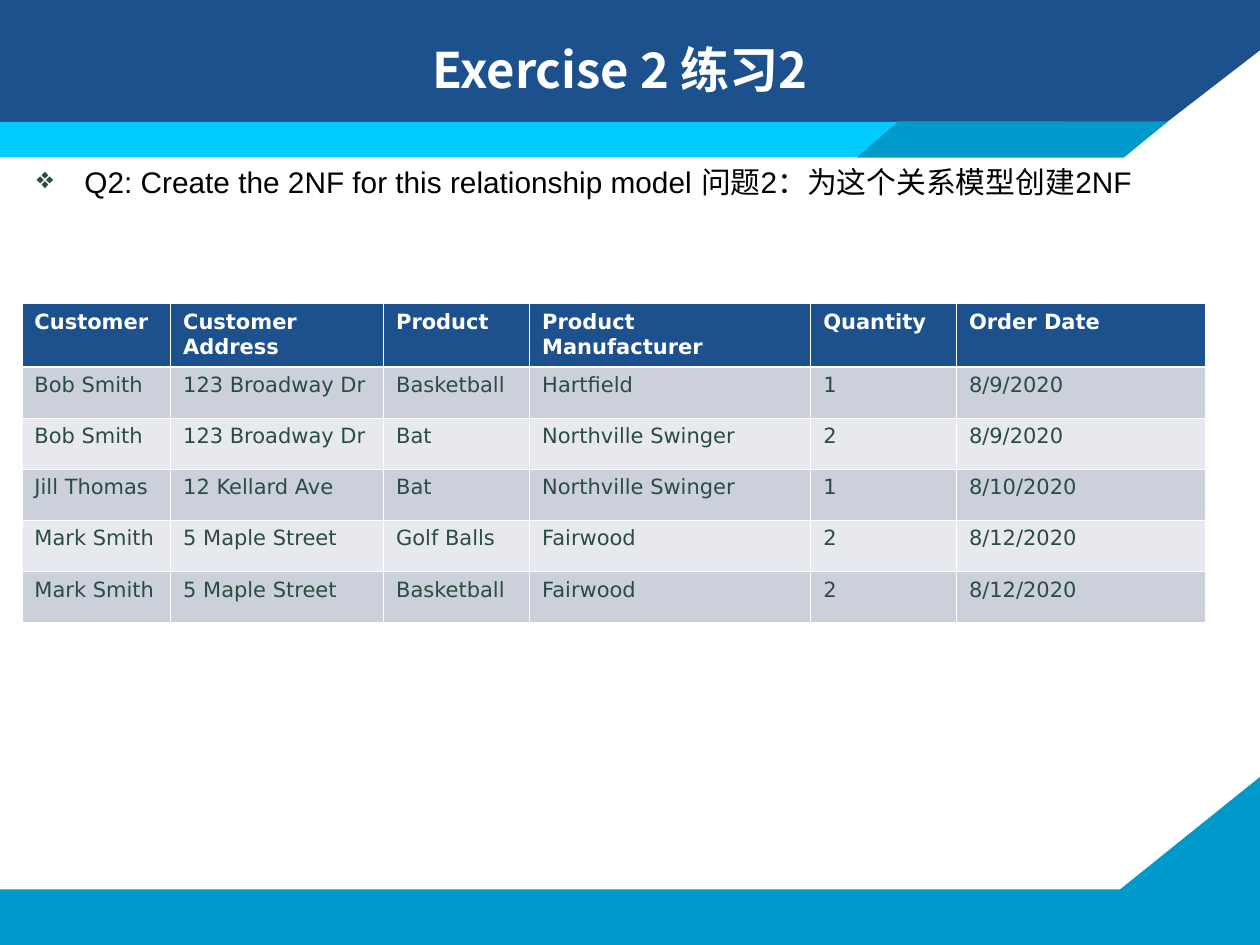
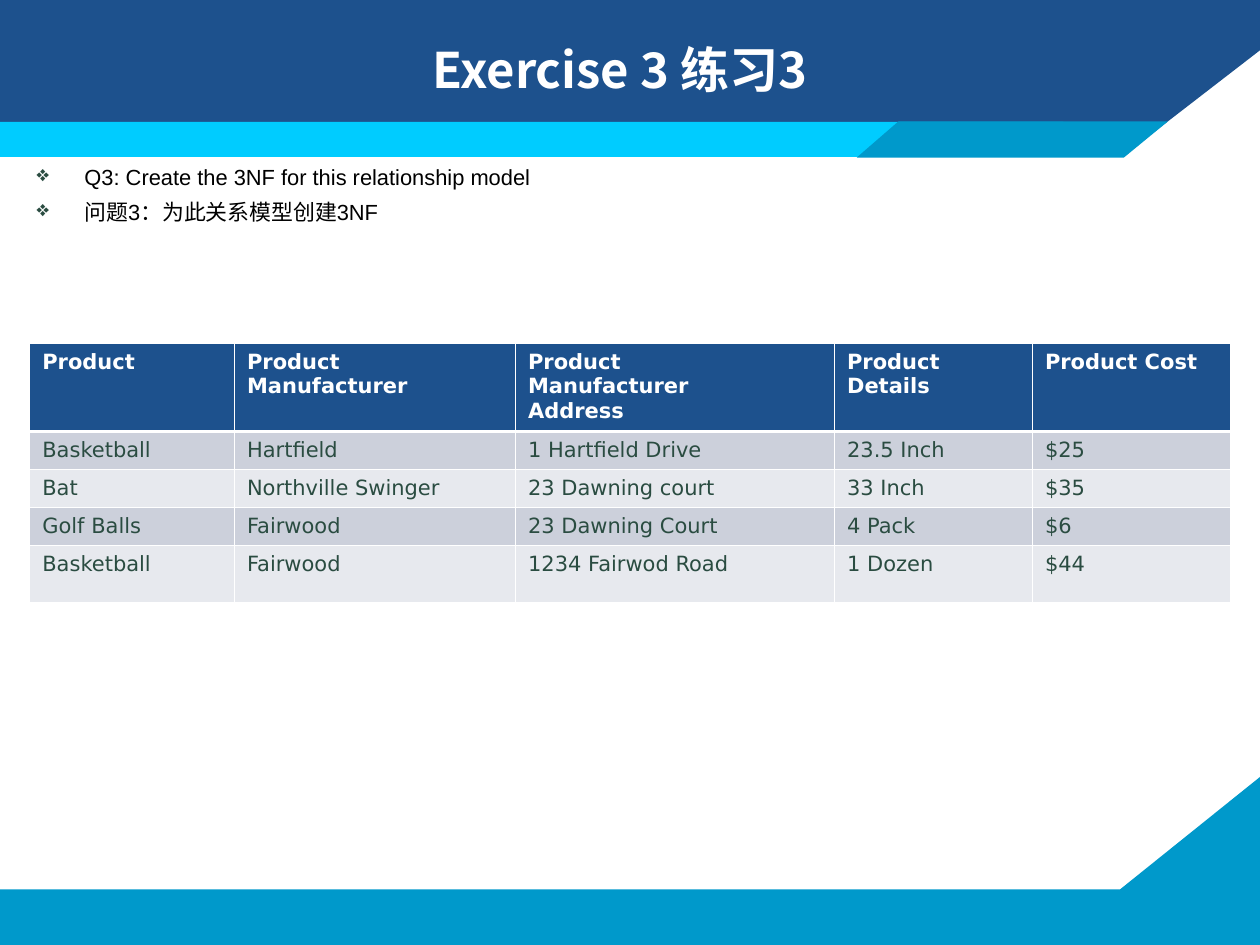
from lxml import etree
from pptx import Presentation
from pptx.dml.color import RGBColor
from pptx.enum.shapes import MSO_SHAPE
from pptx.enum.text import MSO_ANCHOR, PP_ALIGN
from pptx.oxml.ns import qn
from pptx.util import Pt

RECT = MSO_SHAPE.RECTANGLE
MIDDLE, TOP = MSO_ANCHOR.MIDDLE, MSO_ANCHOR.TOP
CENTER, LEFT = PP_ALIGN.CENTER, PP_ALIGN.LEFT

NAVY, BLUE, CYAN = "1D518D", "0099CB", "00CCFF"
WHITE, BLACK, GREEN = "FFFFFF", "000000", "2A4C41"
BANDS = ["E7E9EE", "CCD0DB"]
HAN = "Noto Sans CJK SC"

FOOT = [(0, 508.3), (640, 508.3), (720, 444), (720, 540), (0, 540)]
HEAD = [(0, 0), (720, 0), (720, 28.8), (642.3, 88.8), (0, 89.3)]
TAB = [(489.6, 90), (642.3, 90), (667.4, 69.4), (513.4, 69.4)]

TITLE = {"name": HAN, "size": Pt(28), "bold": True}
TEXT = {"name": "Arial", "bold": False}
HEADER = {"name": "DejaVu Sans", "size": Pt(12), "bold": True}
CELL = {**HEADER, "bold": False}
SLIDES = [
    {
        "title": "Exercise 2 练习2",
        "size": 17,
        "lines": ["Q2: Create the 2NF for this relationship model 问题2：为这个关系模型创建2NF"],
        "spot": (12.5, 173.6),
        "cols": [85, 121.7, 83.5, 160.6, 83.3, 142.3],
        "tall": [36, 29.2, 29.2, 29.2, 29.2, 29.2],
        "rows": [
            ["Customer", "Customer\nAddress", "Product", "Product Manufacturer", "Quantity", "Order Date"],
            ["Bob Smith", "123 Broadway Dr", "Basketball", "Hartfield", "1", "8/9/2020"],
            ["Bob Smith", "123 Broadway Dr", "Bat", "Northville Swinger", "2", "8/9/2020"],
            ["Jill Thomas", "12 Kellard Ave", "Bat", "Northville Swinger", "1", "8/10/2020"],
            ["Mark Smith", "5 Maple Street", "Golf Balls", "Fairwood", "2", "8/12/2020"],
            ["Mark Smith", "5 Maple Street", "Basketball", "Fairwood", "2", "8/12/2020"],
        ],
    },
    {
        "title": "Exercise 3 练习3",
        "size": 12.5,
        "lines": ["Q3: Create the 3NF for this relationship model", "问题3：为此关系模型创建3NF"],
        "spot": (17, 196.2),
        "cols": [117, 160.6, 182.3, 113.1, 113.1],
        "tall": [50.2, 21.6, 21.6, 21.6, 32.6],
        "rows": [
            ["Product", "Product Manufacturer", "Product\nManufacturer\nAddress", "Product\nDetails", "Product Cost"],
            ["Basketball", "Hartfield", "1 Hartfield Drive", "23.5 Inch", "$25"],
            ["Bat", "Northville Swinger", "23 Dawning court", "33 Inch", "$35"],
            ["Golf Balls", "Fairwood", "23 Dawning Court", "4 Pack", "$6"],
            ["Basketball", "Fairwood", "1234 Fairwod Road", "1 Dozen", "$44"],
        ],
    },
]


def tint(code):
    return RGBColor.from_string(code)


def apply(item, values):
    for key, value in values.items():
        setattr(item, key, value)


class Deck:
    def __init__(self):
        self.show = Presentation()
        apply(self.show, {"slide_width": Pt(720), "slide_height": Pt(540)})
        self.slide = None

    def page(self):
        self.slide = self.show.slides.add_slide(self.show.slide_layouts[6])
        self.form(FOOT, BLUE)
        self.form(HEAD, NAVY)
        band = self.slide.shapes.add_shape(RECT, 0, Pt(69.7), Pt(607.7), Pt(20))
        self.paint(band, CYAN)
        self.form(TAB, BLUE)

    def paint(self, shape, color):
        shape.fill.solid()
        shape.fill.fore_color.rgb = tint(color)
        shape.line.fill.background()
        shape.shadow.inherit = False

    def form(self, dots, color):
        dots = [(Pt(x), Pt(y)) for x, y in dots]
        pen = self.slide.shapes.build_freeform(*dots[0])
        pen.add_line_segments(dots[1:], close=True)
        self.paint(pen.convert_to_shape(), color)

    def style(self, frame, font, color):
        for para in frame.paragraphs:
            for run in para.runs:
                apply(run.font, font)
                run.font.color.rgb = tint(color)
                east = etree.SubElement(run.font._element, qn("a:ea"))
                east.set("typeface", HAN)

    def text(self, words, box, font, color, anchor=TOP, align=LEFT):
        frame = self.slide.shapes.add_textbox(*map(Pt, box)).text_frame
        apply(frame, {
            "text": words, "word_wrap": True, "vertical_anchor": anchor,
            "margin_left": Pt(6.5), "margin_right": Pt(6.5),
        })
        for para in frame.paragraphs:
            para.alignment = align
        self.style(frame, font, color)
        return frame

    def title(self, words):
        self.text(words, (50.4, 12.2, 607.7, 54), TITLE, WHITE, MIDDLE, CENTER)

    def list(self, lines, size):
        font = {**TEXT, "size": Pt(size)}
        frame = self.text("\n".join(lines), (14.4, 90, 692, 44), font, BLACK)
        for para in frame.paragraphs:
            para.space_before = Pt(5)
            props = para._p.get_or_add_pPr()
            props.set("marL", str(Pt(27.4)))
            props.set("indent", str(-Pt(27.4)))
            shade = etree.SubElement(props, qn("a:buClr"))
            etree.SubElement(shade, qn("a:srgbClr")).set("val", GREEN)
            etree.SubElement(props, qn("a:buChar")).set("char", "❖")

    def edge(self, cell, row):
        props = cell._tc.get_or_add_tcPr()
        for side in "LRTB":
            thick = (row, side) in [(0, "B"), (1, "T")]
            line = etree.SubElement(props, qn(f"a:ln{side}"))
            line.set("w", str(Pt(1.47 if thick else 0.45)))
            fill = etree.SubElement(line, qn("a:solidFill"))
            etree.SubElement(fill, qn("a:srgbClr")).set("val", WHITE)

    def table(self, rows, spot, cols, tall):
        box = (*spot, sum(cols), sum(tall))
        grid = self.slide.shapes.add_table(len(rows), len(cols), *map(Pt, box)).table
        for col, width in zip(grid.columns, cols):
            col.width = Pt(width)
        for index, (row, height) in enumerate(zip(grid.rows, tall)):
            row.height = Pt(height)
            look = (CELL, GREEN) if index else (HEADER, WHITE)
            for cell, words in zip(row.cells, rows[index]):
                cell.text = words
                self.style(cell.text_frame, *look)
                self.edge(cell, index)
                cell.fill.solid()
                cell.fill.fore_color.rgb = tint(BANDS[index % 2] if index else NAVY)


def main():
    deck = Deck()
    for data in SLIDES:
        deck.page()
        deck.title(data["title"])
        deck.list(data["lines"], data["size"])
        deck.table(data["rows"], data["spot"], data["cols"], data["tall"])
    deck.show.save("out.pptx")


if __name__ == "__main__":
    main()
